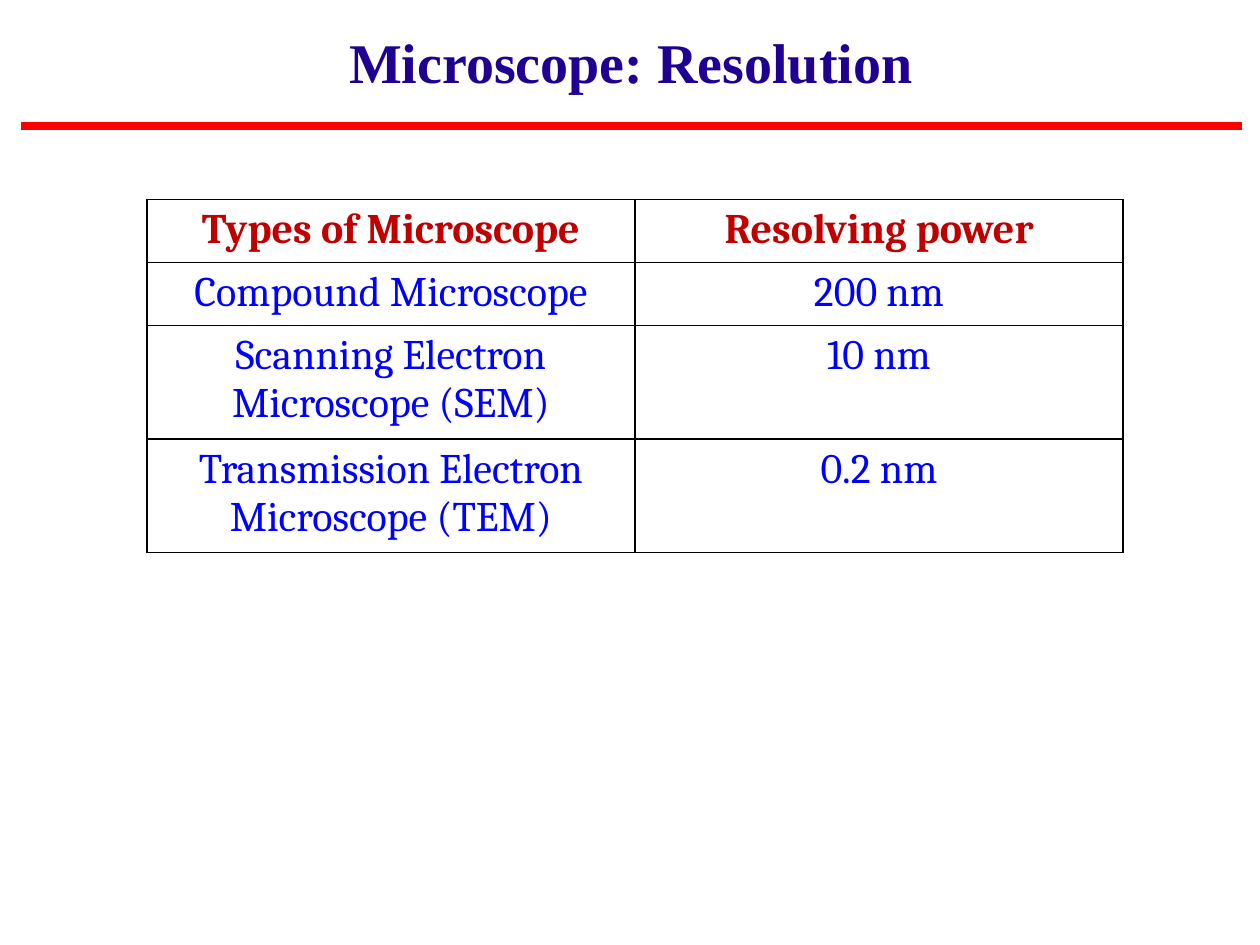
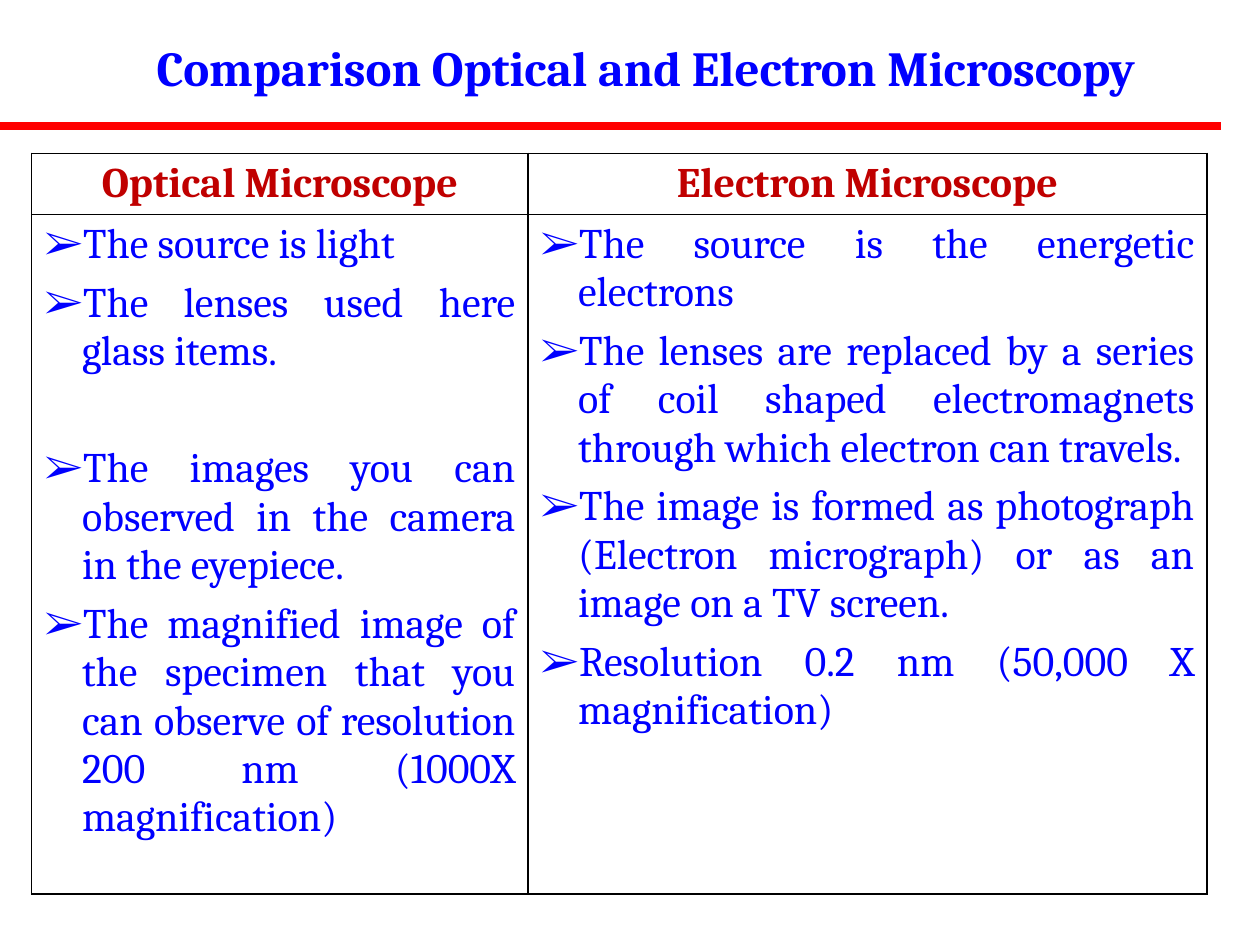
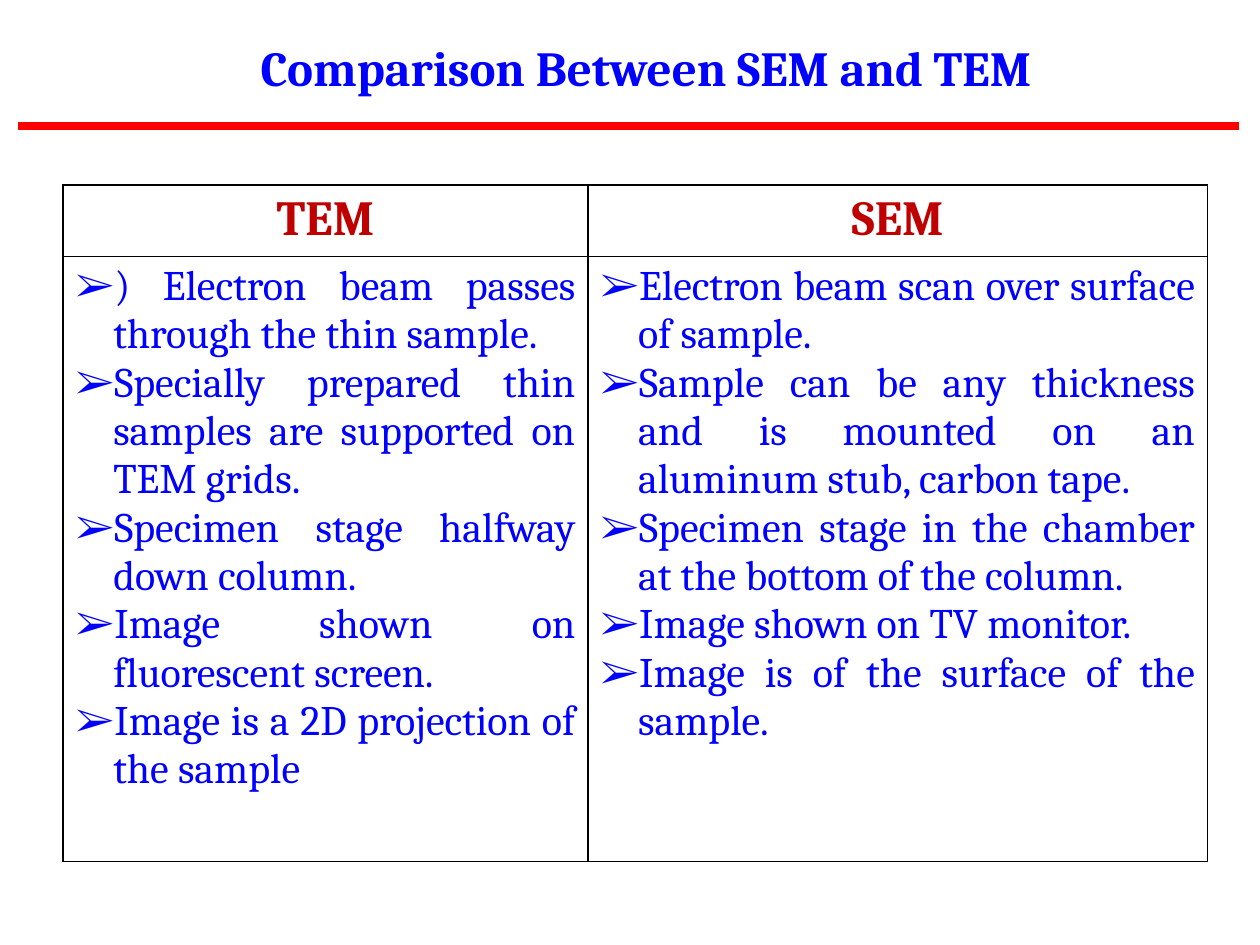
from lxml.etree import SubElement
from pptx import Presentation
from pptx.dml.color import RGBColor
from pptx.enum.shapes import MSO_CONNECTOR
from pptx.enum.text import MSO_ANCHOR, MSO_AUTO_SIZE, PP_ALIGN
from pptx.oxml import parse_xml
from pptx.oxml.ns import nsdecls, qn
from pptx.util import Cm, Pt

BLUE, NAVY, CRIMSON = "0000FF", "1F0092", "C00000"
RED, BLACK = "FF0000", "000000"
SERIF, TIMES = "Cambria", "Times New Roman"
TITLE_ONLY = 5
RULE_TOP, RULE_LENGTH = 2.54, 24.61
HANGING = 0.76
BODY_SIZE = 24

RESOLVING_POWERS = [
    ("Compound Microscope", "200 nm"),
    ("Scanning Electron Microscope (SEM)", "10 nm"),
    ("Transmission Electron Microscope (TEM)", "0.2 nm"),
]
OPTICAL = [
    "The source is light",
    "The lenses used here glass items.",
    "The images you can observed in the camera in the eyepiece.",
    "The magnified image of the specimen that you can observe of resolution "
    "200 nm (1000X magnification)",
]
ELECTRON = [
    "The source is the energetic electrons",
    "The lenses are replaced by a series of coil shaped electromagnets "
    "through which electron can travels.",
    "The image is formed as photograph (Electron micrograph) or as an image "
    "on a TV screen.",
    "Resolution 0.2 nm (50,000 X magnification)",
]
TEM = [
    ") Electron beam passes through the thin sample.",
    "Specially prepared thin samples are supported on TEM grids.",
    "Specimen stage halfway down column.",
    "Image shown on fluorescent screen.",
    "Image is a 2D projection of the sample",
]
SEM = [
    "Electron beam scan over surface of sample.",
    "Sample can be any thickness and is mounted on an aluminum stub, "
    "carbon tape.",
    "Specimen stage in the chamber at the bottom of the column.",
    "Image shown on TV monitor.",
    "Image is of the surface of the sample.",
]


def color(value):
    return RGBColor.from_string(value)


def style(para, size, ink, bold=False, align=PP_ALIGN.CENTER, name=SERIF):
    para.alignment = align
    font = para.font
    font.name, font.size, font.bold = name, Pt(size), bold
    font.color.rgb = color(ink)


def add_rule(page, left):
    """Draw the red line under the title."""
    rule = page.shapes.add_connector(
        MSO_CONNECTOR.STRAIGHT,
        Cm(left), Cm(RULE_TOP), Cm(left + RULE_LENGTH), Cm(RULE_TOP))
    rule.line.color.rgb = color(RED)
    rule.line.width = Pt(4.5)
    SubElement(rule._element.spPr, qn("a:effectLst"))


def add_page(deck, text, rule_left, left=1.27, top=0.62, width=23.5,
             height=1.45, size=28, ink=BLUE, name=SERIF):
    """Add a slide with its title and red rule."""
    page = deck.slides.add_slide(deck.slide_layouts[TITLE_ONLY])
    title = page.shapes.title
    title.left, title.top = Cm(left), Cm(top)
    title.width, title.height = Cm(width), Cm(height)
    frame = title.text_frame
    frame.text = text
    frame.auto_size = MSO_AUTO_SIZE.NONE
    frame.vertical_anchor = MSO_ANCHOR.TOP
    style(frame.paragraphs[0], size, ink, bold=True, name=name)
    add_rule(page, rule_left)
    return page


def outline(cell):
    """Clear the fill and give the cell thin black borders."""
    cell.fill.background()
    properties = cell._tc.get_or_add_tcPr()
    for place, side in enumerate(("lnL", "lnR", "lnT", "lnB")):
        properties.insert(place, parse_xml(
            f'<a:{side} {nsdecls("a")} w="12700"><a:solidFill>'
            f'<a:srgbClr val="{BLACK}"/></a:solidFill></a:{side}>'))


def add_grid(page, left, top, widths, heights):
    table = page.shapes.add_table(
        len(heights), len(widths), Cm(left), Cm(top),
        Cm(sum(widths)), Cm(sum(heights))).table
    table.first_row = table.horz_banding = False
    for column, width in zip(table.columns, widths):
        column.width = Cm(width)
    for row, height in zip(table.rows, heights):
        row.height = Cm(height)
    for cell in table.iter_cells():
        outline(cell)
    return table


def fill_row(table, row, texts, size=BODY_SIZE, ink=BLUE, bold=False):
    for column, text in enumerate(texts):
        cell = table.cell(row, column)
        cell.text = text
        style(cell.text_frame.paragraphs[0], size, ink, bold)


def fill_header(table, texts, size=BODY_SIZE):
    fill_row(table, 0, texts, size, CRIMSON, bold=True)


def fill_list(cell, items, gap=0):
    """Write justified arrow bullets with a gap in points after each."""
    frame = cell.text_frame
    for number, item in enumerate(items):
        para = frame.add_paragraph() if number else frame.paragraphs[0]
        para.text = item
        properties = para._p.get_or_add_pPr()
        properties.set("marL", str(Cm(HANGING)))
        properties.set("indent", str(-Cm(HANGING)))
        SubElement(properties, qn("a:buFont"), typeface=SERIF)
        SubElement(properties, qn("a:buChar"), char="➢")
        para.space_after = Pt(gap)
        style(para, BODY_SIZE, BLUE, align=PP_ALIGN.JUSTIFY)


def add_resolution(deck):
    page = add_page(deck, "Microscope: Resolution", 0.43, left=0.7, top=0.43,
                    width=24.05, height=1.63, size=32, ink=NAVY, name=TIMES)
    table = add_grid(page, 2.96, 4.02, [9.84] * 2, [1.27] * 2 + [2.29] * 2)
    fill_header(table, ("Types of Microscope", "Resolving power"))
    for row, texts in enumerate(RESOLVING_POWERS, 1):
        fill_row(table, row, texts)


def add_optical_and_electron(deck):
    page = add_page(deck, "Comparison Optical and Electron Microscopy", 0)
    table = add_grid(page, 0.64, 3.09, [10, 13.69], [1.22, 13.7])
    fill_header(table, ("Optical Microscope", "Electron Microscope"))
    fill_list(table.cell(1, 0), OPTICAL, gap=6)
    fill_list(table.cell(1, 1), ELECTRON, gap=6)
    lenses = table.cell(1, 0).text_frame.paragraphs[1]
    lenses.space_after = Pt(39.5)


def add_sem_and_tem(deck):
    page = add_page(deck, "Comparison Between SEM and TEM", 0.36)
    table = add_grid(page, 1.27, 3.73, [10.58, 12.49], [1.44, 12.2])
    fill_header(table, ("TEM", "SEM"), size=28)
    fill_list(table.cell(1, 0), TEM)
    fill_list(table.cell(1, 1), SEM)


def main():
    deck = Presentation()
    deck.slide_width, deck.slide_height = Cm(25.4), Cm(19.05)
    add_resolution(deck)
    add_optical_and_electron(deck)
    add_sem_and_tem(deck)
    deck.save("out.pptx")


if __name__ == "__main__":
    main()
